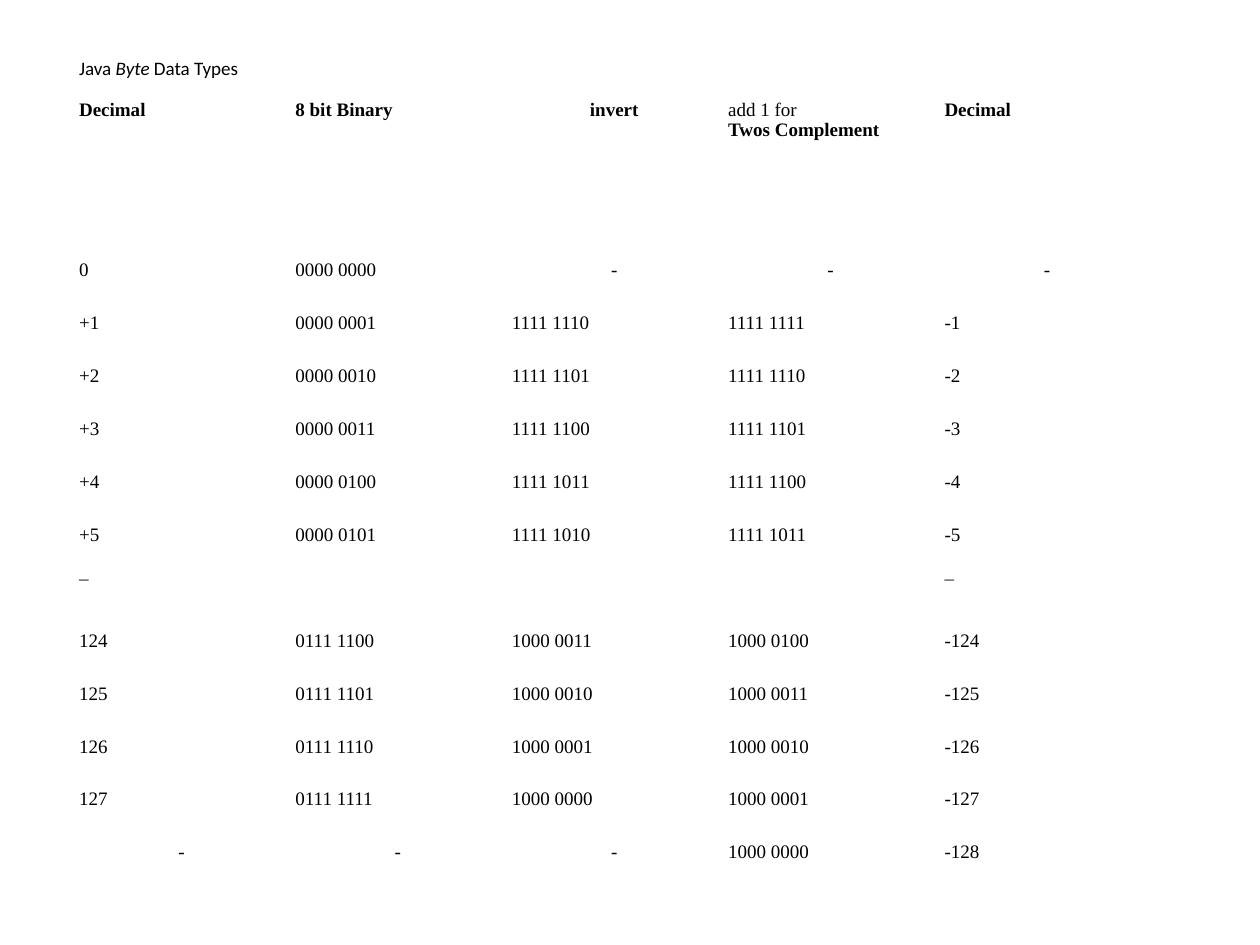
from dataclasses import dataclass

import pptx
import pptx.dml.color
import pptx.enum.text
import pptx.util

Pt = pptx.util.Pt
ALIGN = pptx.enum.text.PP_ALIGN
COLORS = {"text": "000000", "cell": "FFFFFF"}
COLUMNS = 5
COLUMN_WIDTH = 136.3
ROW_HEIGHT = 33.35
HEADER_HEIGHT = 100.8
INSET = 3.6


@dataclass
class Run:
    text: str
    bold: bool = False
    italic: bool = False


@dataclass
class Entry:
    runs: list[Run]
    centered: bool = False
    font: str = "Times New Roman"
    line_spacing: float = 0.93


def color(name: str) -> pptx.dml.color.RGBColor:
    return pptx.dml.color.RGBColor.from_string(COLORS[name])


def value(text: str) -> Entry:
    """A plain table value; a lone dash is centred."""
    return Entry([Run(text)] if text else [], centered=text == "-")


def heading(text: str, centered: bool = False) -> Entry:
    return Entry([Run(text, bold=True)], centered)


def binary(n: int) -> str:
    """Eight bits of n in two groups of four."""
    bits = f"{n % 256:08b}"
    return f"{bits[:4]} {bits[4:]}"


def negation_row(n: int, sign: str = "") -> list[Entry]:
    """The steps that lead from n to -n."""
    steps = [f"{sign}{n}", binary(n), binary(~n), binary(-n), f"-{n}"]
    return [value(step) for step in steps]


def fill_cell(cell, entry: Entry) -> None:
    cell.fill.solid()
    cell.fill.fore_color.rgb = color("cell")
    cell.margin_left = cell.margin_right = Pt(INSET)
    cell.margin_top = cell.margin_bottom = Pt(INSET)
    p = cell.text_frame.paragraphs[0]
    p.alignment = ALIGN.CENTER if entry.centered else ALIGN.LEFT
    p.line_spacing = entry.line_spacing
    p.font.name = entry.font
    p.font.size = Pt(12)
    p.font.color.rgb = color("text")
    for run in entry.runs:
        lines = run.text.split("\n")
        for i, line in enumerate(lines):
            if i:
                p.add_line_break()
            if line:
                r = p.add_run()
                r.text = line
                r.font.bold = run.bold
                r.font.italic = run.italic


def main() -> None:
    title = Entry([Run("Java "), Run("Byte", italic=True), Run(" Data Types")],
                  font="Calibri", line_spacing=0.97)
    headings = [
        heading("Decimal"),
        heading("8 bit Binary"),
        heading("invert", centered=True),
        Entry([Run("add 1 for\n"), Run("Twos Complement", bold=True)]),
        heading("Decimal"),
    ]
    rows = [
        headings,
        [value(t) for t in ("0", binary(0), "-", "-", "-")],
        *(negation_row(n, "+") for n in range(1, 6)),
        [value(t) for t in ("¯", "", "", "", "¯")],
        *(negation_row(n) for n in range(124, 128)),
        [value(t) for t in ("-", "-", "-", binary(-128), "-128")],
    ]

    prs = pptx.Presentation()
    prs.slide_width, prs.slide_height = Pt(793.7), Pt(595.28)
    s = prs.slides.add_slide(prs.slide_layouts[6])
    height = HEADER_HEIGHT + len(rows) * ROW_HEIGHT
    table = s.shapes.add_table(len(rows) + 1, COLUMNS, Pt(46.2), Pt(26.7),
                               Pt(COLUMNS * COLUMN_WIDTH), Pt(height)).table
    table.first_row = table.horz_banding = False
    for column in table.columns:
        column.width = Pt(COLUMN_WIDTH)
    for row in table.rows:
        row.height = Pt(ROW_HEIGHT)
    table.rows[1].height = Pt(HEADER_HEIGHT)

    title_cell = table.cell(0, 0)
    title_cell.merge(table.cell(0, COLUMNS - 1))
    title_cell.vertical_anchor = pptx.enum.text.MSO_ANCHOR.MIDDLE
    fill_cell(title_cell, title)
    for i, entries in enumerate(rows, start=1):
        for j, entry in enumerate(entries):
            fill_cell(table.cell(i, j), entry)
    prs.save("out.pptx")


if __name__ == "__main__":
    main()
